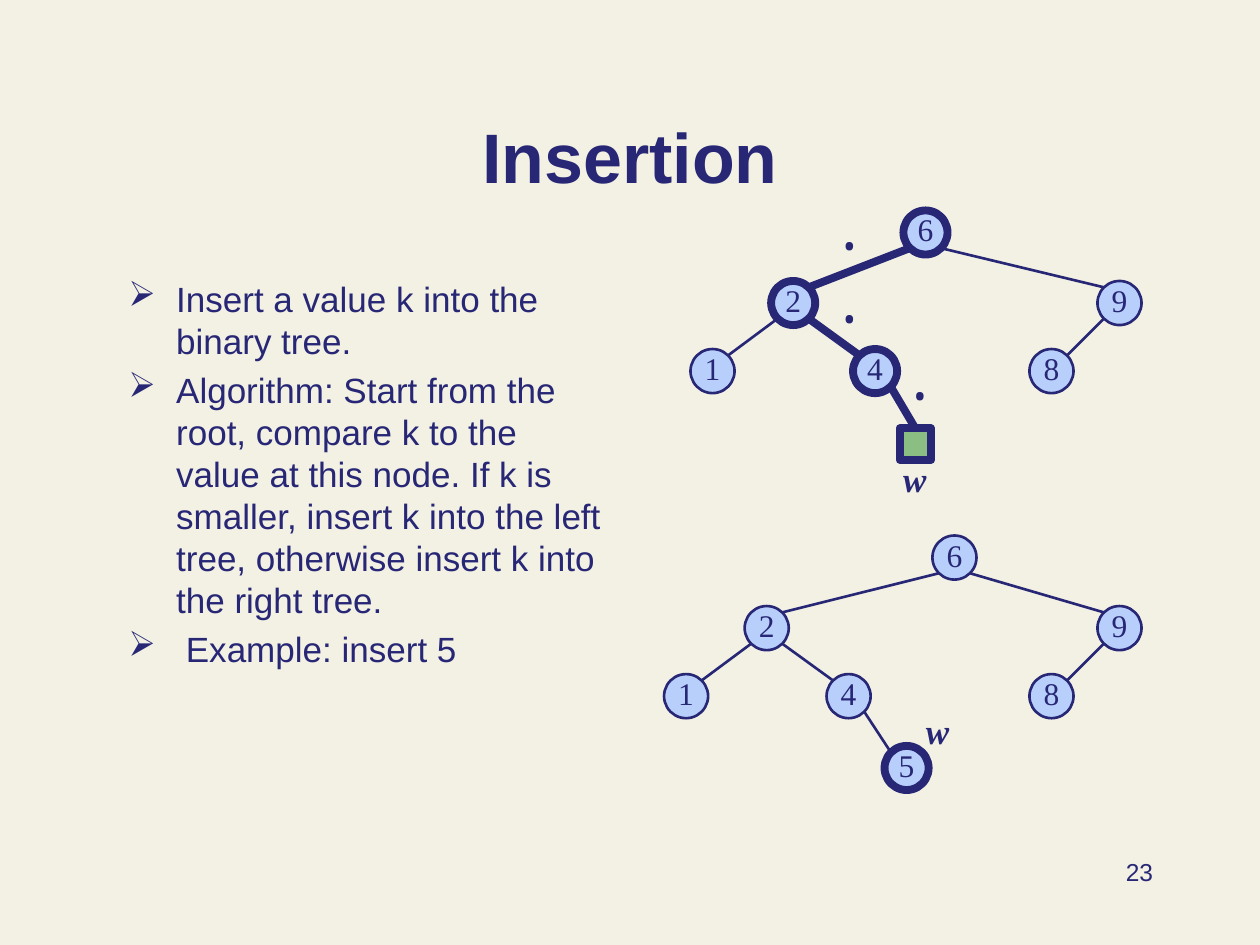
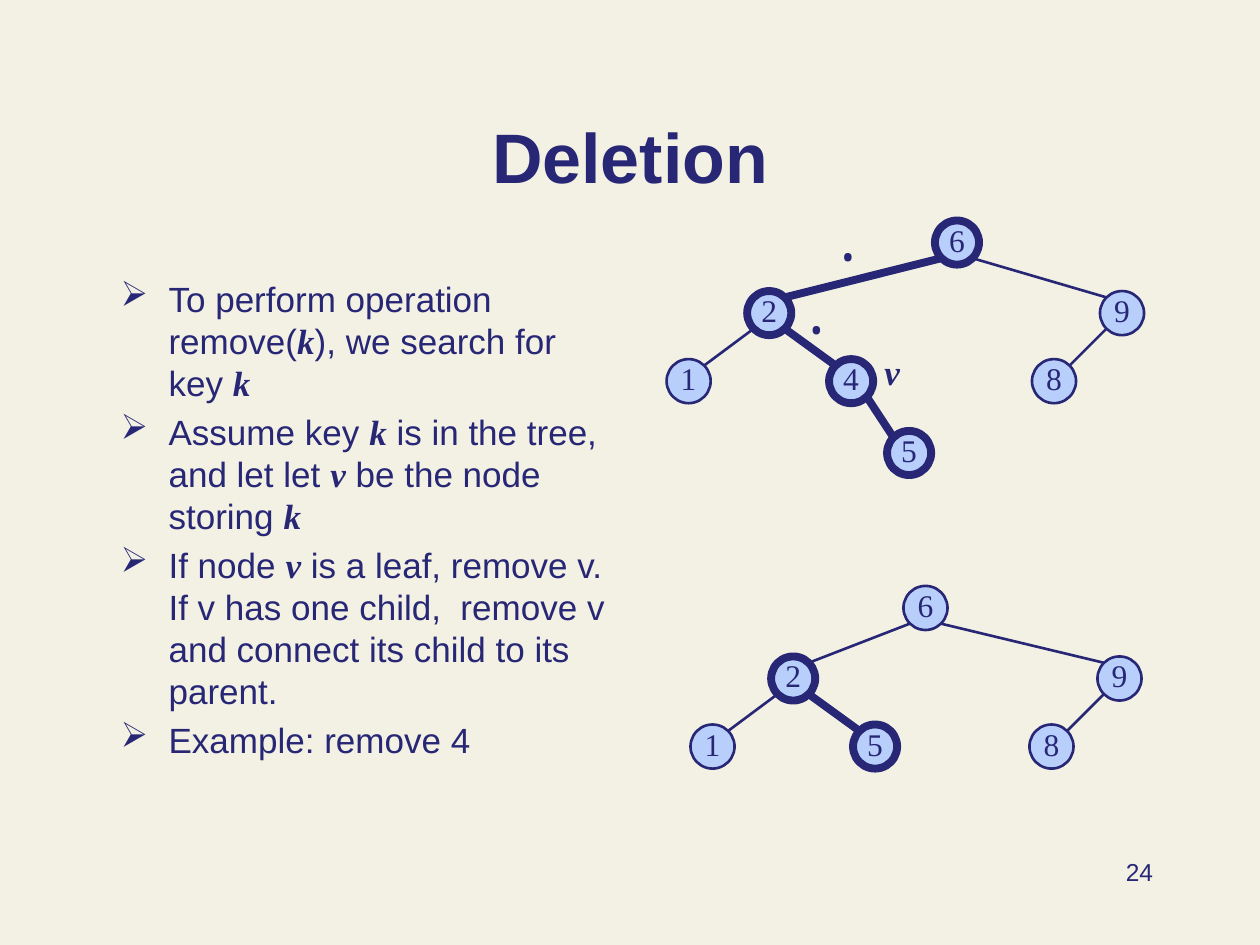
from pptx import Presentation
from pptx.dml.color import RGBColor
from pptx.enum.shapes import MSO_CONNECTOR, MSO_SHAPE
from pptx.enum.text import MSO_ANCHOR, PP_ALIGN
from pptx.oxml.ns import qn
from pptx.util import Inches, Pt
from lxml import etree

ELLIPSE, SQUARE = MSO_SHAPE.OVAL, MSO_SHAPE.RECTANGLE
STRAIGHT = MSO_CONNECTOR.STRAIGHT
LEFT, CENTER, RIGHT = PP_ALIGN.LEFT, PP_ALIGN.CENTER, PP_ALIGN.RIGHT
TOP, MIDDLE, BOTTOM = MSO_ANCHOR.TOP, MSO_ANCHOR.MIDDLE, MSO_ANCHOR.BOTTOM

PAPER, INK, NODE_BLUE, LEAF_GREEN = "F3F1E4", "272776", "B8CFFB", "8BBE82"
SANS, SERIF, DOT_FONT = "Arial", "Times New Roman", "Open Sans"
THIN, THICK = 1.5, 4.5
NODE_SIZE, NEAR, FAR = 0.35, 0.05, 0.30
LEAF_SIZE = 0.25
HANGING = 0.38

WIDE = {"6": (2.13, 0), "2": (0.64, 0.56), "9": (3.44, 0.56), "1": (0, 1.1),
        "4": (1.29, 1.1), "8": (2.9, 1.1), "5": (1.75, 1.67)}
NARROW = {"6": (1.69, 0), "2": (0.64, 0.56), "9": (3.23, 0.56), "1": (0, 1.1),
          "4": (1.29, 1.1), "8": (2.69, 1.1)}
AFTER_REMOVAL = {("5" if key == "4" else key): place for key, place in NARROW.items()}
SEARCH_EDGES = [("6", "2"), ("6", "9"), ("2", "1"), ("2", "4"), ("9", "8")]
GROWN_EDGES = SEARCH_EDGES + [("4", "5")]
REMOVED_EDGES = [("6", "2"), ("6", "9"), ("2", "1"), ("2", "5"), ("9", "8")]


def color(value):
    return RGBColor.from_string(value)


def write(para, text, font=SANS, size=20, bold=False, italic=False, align=LEFT):
    para.alignment = align
    span = para.add_run()
    span.text = text
    span.font.name = font
    span.font.size = Pt(size)
    span.font.bold = bold
    span.font.italic = italic
    span.font.color.rgb = color(INK)


def add_box(page, left, top, width, height, anchor=TOP):
    box = page.shapes.add_textbox(Inches(left), Inches(top), Inches(width), Inches(height))
    box.text_frame.word_wrap = True
    box.text_frame.vertical_anchor = anchor
    return box.text_frame


def add_label(page, place, text, anchor=TOP, **text_format):
    write(add_box(page, *place, anchor=anchor).paragraphs[0], text, **text_format)


def add_dots(page, places):
    for left, top in places:
        add_label(page, (left, top, 0.35, 0.43), "•", font=DOT_FONT)


def add_variable(page, left, top, name):
    add_label(page, (left, top, 0.39, 0.43), name, font=SERIF, bold=True, italic=True)


def set_bullet(para):
    props = para._p.get_or_add_pPr()
    props.set("marL", str(Inches(HANGING)))
    props.set("indent", str(-Inches(HANGING)))
    tint = etree.SubElement(props, qn("a:buClr"))
    etree.SubElement(tint, qn("a:srgbClr"), val=INK)
    etree.SubElement(props, qn("a:buChar"), char="➢")


def add_bullets(page, place, items):
    frame = add_box(page, *place)
    for index, item in enumerate(items):
        para = frame.paragraphs[0] if index == 0 else frame.add_paragraph()
        para.line_spacing = Pt(24)
        para.space_before = Pt(4 if index else 0)
        set_bullet(para)
        for order, part in enumerate(item.split("*")):
            if part:
                is_variable = order % 2 == 1
                write(para, part, font=SERIF if is_variable else SANS,
                      bold=is_variable, italic=is_variable)


def add_outlined(page, kind, left, top, size, fill, weight):
    shape = page.shapes.add_shape(kind, Inches(left), Inches(top), Inches(size), Inches(size))
    shape.shadow.inherit = False
    shape.fill.solid()
    shape.fill.fore_color.rgb = color(fill)
    shape.line.color.rgb = color(INK)
    shape.line.width = Pt(weight)
    return shape


def add_node(page, left, top, key, weight):
    frame = add_outlined(page, ELLIPSE, left, top, NODE_SIZE, NODE_BLUE, weight).text_frame
    frame.margin_left = frame.margin_right = frame.margin_top = 0
    frame.margin_bottom = Inches(0.05)
    frame.word_wrap = False
    frame.vertical_anchor = MIDDLE
    write(frame.paragraphs[0], key, font=SERIF, size=18, align=CENTER)


def add_edge(page, start, end, weight):
    edge = page.shapes.add_connector(STRAIGHT, *(Inches(value) for value in (*start, *end)))
    edge.line.color.rgb = color(INK)
    edge.line.width = Pt(weight)
    etree.SubElement(edge._element.spPr, qn("a:effectLst"))
    return edge


def add_tree(page, left, top, layout, edges, visited=""):
    places = {key: (left + x, top + y) for key, (x, y) in layout.items()}
    for key, place in places.items():
        add_node(page, *place, key, THICK if key in visited else THIN)
    for parent, child in edges:
        (x1, y1), (x2, y2) = places[parent], places[child]
        leave, arrive = (FAR, NEAR) if x2 > x1 else (NEAR, FAR)
        weight = THICK if parent in visited and child in visited else THIN
        add_edge(page, (x1 + leave, y1 + FAR), (x2 + arrive, y2 + NEAR), weight)
    return places


def add_empty_leaf(page, parent_place, left, top):
    leaf = add_outlined(page, SQUARE, left, top, LEAF_SIZE, LEAF_GREEN, THICK)
    start = [value + FAR for value in parent_place]
    edge = add_edge(page, start, (left + LEAF_SIZE / 2, top), THICK)
    edge.end_connect(leaf, 0)


def add_page(deck, title, number):
    page = deck.slides.add_slide(deck.slide_layouts[6])
    page.background.fill.solid()
    page.background.fill.fore_color.rgb = color(PAPER)
    add_label(page, (0.75, 0.54, 8.5, 1.08), title, anchor=BOTTOM,
              size=40, bold=True, align=CENTER)
    add_label(page, (7.17, 6.75, 2.08, 0.5), str(number), size=14, align=RIGHT)
    return page


def build_insertion(deck):
    page = add_page(deck, "Insertion", 23)
    add_bullets(page, (0.92, 2.15, 4, 4.75), [
        "Insert a value k into the binary tree.",
        "Algorithm: Start from the root, compare k to the value at this node. "
        "If k is smaller, insert k into the left tree, "
        "otherwise insert k into the right tree.",
        " Example: insert 5",
    ])
    add_tree(page, 5.27, 4.25, WIDE, GROWN_EDGES, visited="5")
    places = add_tree(page, 5.48, 1.67, NARROW, SEARCH_EDGES, visited="624")
    add_empty_leaf(page, places["4"], 7.14, 3.4)
    add_dots(page, [(6.59, 1.73), (6.59, 2.31), (7.15, 2.92)])
    add_variable(page, 7.07, 3.58, "w")
    add_variable(page, 7.25, 5.58, "w")


def build_deletion(deck):
    page = add_page(deck, "Deletion", 24)
    add_bullets(page, (0.86, 2.15, 4.14, 4.83), [
        "To perform operation remove(*k*), we search for key *k*",
        "Assume key *k* is in the tree, and let let *v* be the node storing *k*",
        "If node *v* is a leaf, remove v. If v has one child,  remove v "
        "and connect its child to its parent.",
        "Example: remove 4",
    ])
    add_tree(page, 5.29, 1.75, WIDE, GROWN_EDGES, visited="6245")
    add_variable(page, 6.92, 2.73, "v")
    add_tree(page, 5.48, 4.65, AFTER_REMOVAL, REMOVED_EDGES, visited="25")
    add_dots(page, [(6.58, 1.82), (6.33, 2.4)])


def main():
    deck = Presentation()
    deck.slide_width, deck.slide_height = Inches(10), Inches(7.5)
    build_insertion(deck)
    build_deletion(deck)
    deck.save("out.pptx")


if __name__ == "__main__":
    main()
